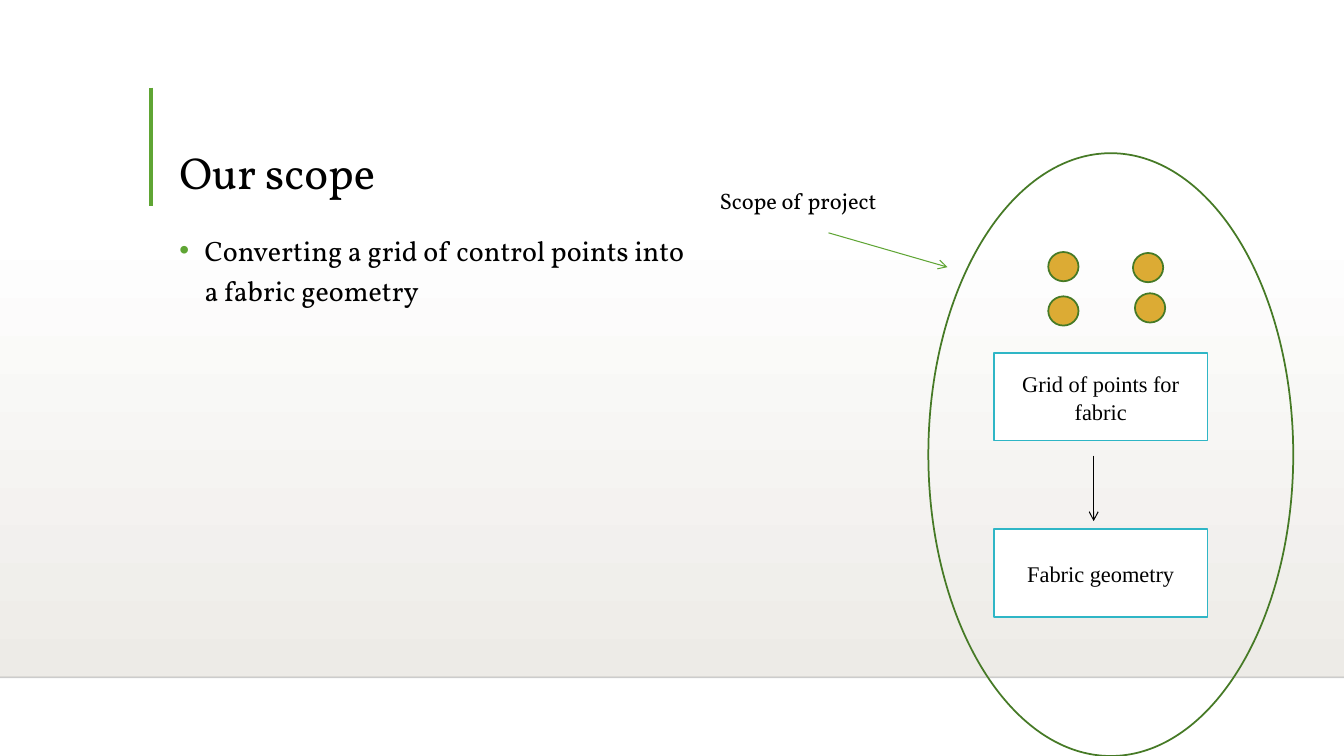
from lxml import etree
from pptx import Presentation
from pptx.dml.color import RGBColor
from pptx.enum.shapes import MSO_CONNECTOR, MSO_SHAPE
from pptx.enum.text import MSO_ANCHOR, MSO_AUTO_SIZE, PP_ALIGN
from pptx.oxml.ns import qn
from pptx.util import Inches, Pt

RECT, OVAL = MSO_SHAPE.RECTANGLE, MSO_SHAPE.OVAL
STRAIGHT = MSO_CONNECTOR.STRAIGHT
TOP, MIDDLE, BOTTOM = MSO_ANCHOR.TOP, MSO_ANCHOR.MIDDLE, MSO_ANCHOR.BOTTOM
LEFT, CENTER = PP_ALIGN.LEFT, PP_ALIGN.CENTER
NO_AUTOFIT = MSO_AUTO_SIZE.NONE

SERIF, PLAIN = "Vollkorn", "Times New Roman"
GREEN, DARK_GREEN, TEAL, GOLD = "5FA534", "467A26", "2FB6C6", "DCAB34"
BLACK, WHITE, SAND = "000000", "FFFFFF", "EDEBE7"
SLIDE_WIDTH, SLIDE_HEIGHT = 40 / 3, 7.5


def rgb(value):
    return RGBColor.from_string(value)


def write(frame, text, font=SERIF, size=16, color=BLACK, align=LEFT,
          anchor=TOP, spacing=1.0, after=0, bullet=None):
    """Fill a text frame with one formatted paragraph."""
    frame.word_wrap = True
    frame.auto_size = NO_AUTOFIT
    frame.vertical_anchor = anchor
    paragraph = frame.paragraphs[0]
    if bullet:
        props = paragraph._p.get_or_add_pPr()
        props.set("marL", str(Inches(0.25)))
        props.set("indent", str(-Inches(0.25)))
        tint = etree.SubElement(props, qn("a:buClr"))
        etree.SubElement(tint, qn("a:srgbClr"), val=bullet)
        etree.SubElement(props, qn("a:buFont"), typeface="Arial")
        etree.SubElement(props, qn("a:buChar"), char="•")
    paragraph.alignment = align
    paragraph.line_spacing = spacing
    paragraph.space_before = Pt(0)
    paragraph.space_after = Pt(after)
    run = paragraph.add_run()
    run.text = text
    run.font.name = font
    run.font.size = Pt(size)
    run.font.color.rgb = rgb(color)


class ScopeSlide:
    """Holds the slide and draws each kind of element on it."""

    def __init__(self, deck):
        self.slide = deck.slides.add_slide(deck.slide_layouts[1])
        self.shapes = self.slide.shapes
        self.slide.background.fill.solid()
        self.slide.background.fill.fore_color.rgb = rgb(WHITE)

    def placeholder(self, index, box, text, **style):
        holder = self.slide.placeholders[index]
        holder.left, holder.top, holder.width, holder.height = map(Inches, box)
        write(holder.text_frame, text, **style)

    def label(self, box, text, **style):
        write(self.shapes.add_textbox(*map(Inches, box)).text_frame, text, **style)

    def shape(self, kind, box, fill=None, line=None):
        shape = self.shapes.add_shape(kind, *map(Inches, box))
        shape.shadow.inherit = False
        if fill:
            shape.fill.solid()
            shape.fill.fore_color.rgb = rgb(fill)
        else:
            shape.fill.background()
        if line:
            shape.line.color.rgb = rgb(line)
            shape.line.width = Pt(1.25)
        else:
            shape.line.fill.background()
        return shape

    def backdrop(self, box, start, end):
        """Draw a vertical fade behind everything, placeholders included."""
        band = self.shape(RECT, box)
        band.fill.gradient()
        band.fill.gradient_angle = 270
        for stop, color in zip(band.fill.gradient_stops, (start, end)):
            stop.color.rgb = rgb(color)
        self.shapes._spTree.insert(2, band._element)

    def line(self, start, end, color, width=0.75, opacity=None, arrow=False):
        line = self.shapes.add_connector(STRAIGHT, *map(Inches, start + end))
        line.line.color.rgb = rgb(color)
        line.line.width = Pt(width)
        outline = line.line._ln
        if opacity:
            tint = outline.find(".//" + qn("a:srgbClr"))
            etree.SubElement(tint, qn("a:alpha"), val=str(opacity * 1000))
        if arrow:
            etree.SubElement(outline, qn("a:tailEnd"), type="arrow")
        etree.SubElement(line._element.spPr, qn("a:effectLst"))

    def step(self, top, text):
        box = self.shape(RECT, (9.86, top, 2.12, 0.87), WHITE, TEAL)
        write(box.text_frame, text, font=PLAIN, align=CENTER, anchor=MIDDLE,
              spacing=1.06, after=8)


def main():
    deck = Presentation()
    deck.slide_width, deck.slide_height = Inches(SLIDE_WIDTH), Inches(SLIDE_HEIGHT)
    page = ScopeSlide(deck)

    # Backdrop and title accent
    page.backdrop((0, 2.2, SLIDE_WIDTH, 4.52), WHITE, SAND)
    page.line((0, 6.72), (SLIDE_WIDTH, 6.72), "000001", width=1, opacity=20)
    page.line((1.5, 0.87), (1.5, 2.04), GREEN, width=3)

    # Title and list
    page.placeholder(0, (1.68, 0.88, 10.41, 1.15), "Our scope", size=32,
                     anchor=BOTTOM, spacing=0.9)
    page.placeholder(1, (1.68, 2.2, 5.24, 3.77),
                     "Converting a grid of control points into a fabric geometry",
                     size=20, spacing=1.2, bullet=GREEN)

    # Scope outline with its label
    page.shape(OVAL, (9.21, 1.52, 3.62, 5.98), line=DARK_GREEN)
    page.line((8.22, 2.31), (9.4, 2.65), GREEN, arrow=True)
    page.label((7.04, 1.79, 1.81, 0.82), "Scope of project", spacing=1.07, after=8)

    # Steps from points to geometry
    page.step(3.5, "Grid of points for fabric")
    page.line((10.85, 4.52), (10.85, 5.17), BLACK, arrow=True)
    page.step(5.25, "Fabric geometry")

    # Control points
    for left, top in ((10.4, 2.5), (11.24, 2.51), (10.4, 2.94), (11.26, 2.91)):
        page.shape(OVAL, (left, top, 0.3, 0.29), GOLD, DARK_GREEN)

    deck.save("out.pptx")


if __name__ == "__main__":
    main()
